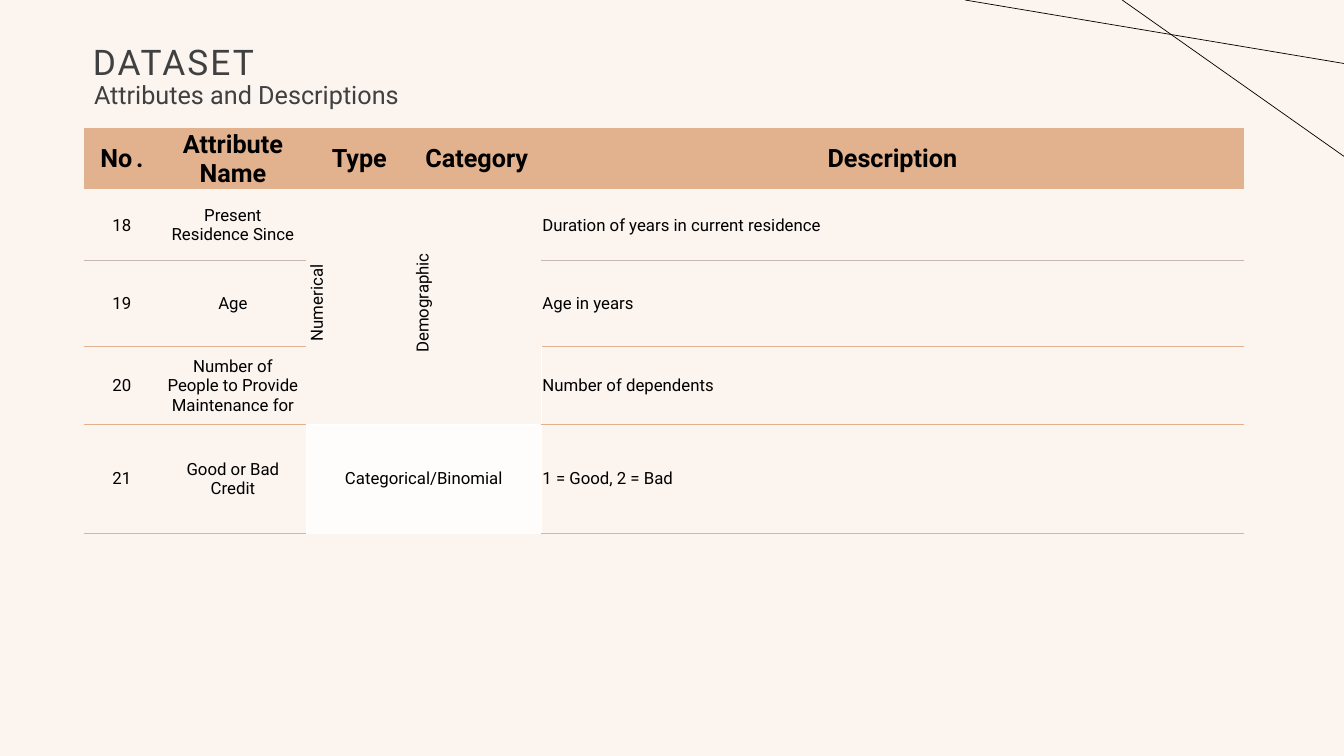
from dataclasses import dataclass

from lxml import etree
from pptx import Presentation
from pptx.dml.color import RGBColor
from pptx.enum.shapes import MSO_CONNECTOR
from pptx.enum.text import MSO_ANCHOR, MSO_AUTO_SIZE, PP_ALIGN
from pptx.oxml.ns import qn
from pptx.util import Cm, Pt

STRAIGHT = MSO_CONNECTOR.STRAIGHT
MIDDLE = MSO_ANCHOR.MIDDLE
TOP = MSO_ANCHOR.TOP
LEFT = PP_ALIGN.LEFT
CENTER = PP_ALIGN.CENTER
NO_FIT = MSO_AUTO_SIZE.NONE
PLAIN_GRID = "{2D5ABB26-0587-4C30-8999-92F81FD0307C}"


@dataclass(frozen=True)
class Theme:
    font: str = "Roboto"
    back: str = "FBF4EF"
    grey: str = "404040"
    ink: str = "000000"
    tan: str = "E2B18D"
    pale: str = "FEFDFC"
    white: str = "FFFFFF"
    rule: str = "C8B8B0"
    title: float = 25.2
    head: float = 18
    small: float = 10.5
    body: float = 12


THEME = Theme()

COLS = (1.9, 3.7, 2.67, 3.25, 17.7)
ROWS = (1.48, 1.78, 2.18, 1.96, 2.74)
GRID = (
    ("No .", "Attribute Name", "Type", "Category", "Description"),
    ("18", "Present Residence Since", "Numerical", "Demographic",
     "Duration of years in current residence"),
    ("19", "Age", "", "", "Age in years"),
    ("20", "Number of People to Provide Maintenance for", "", "",
     "Number of dependents"),
    ("21", "Good or Bad Credit", "Categorical/Binomial", "",
     "1 = Good, 2 = Bad"),
)
# Rule under each body row: colour and width in points
RULES = {1: (THEME.rule, 0.75), 2: (THEME.tan, 1),
         3: (THEME.tan, 1), 4: (THEME.tan, 0.75)}


def assign(item, values):
    for name, value in values.items():
        setattr(item, name, value)


def style(run, size, color, bold=False):
    assign(run.font, {"name": THEME.font, "size": Pt(size), "bold": bold})
    run.font.color.rgb = RGBColor.from_string(color)


def write(frame, text, size, color, bold=False, align=LEFT):
    """Fill the first paragraph; a space before a full stop is set small."""
    para = frame.paragraphs[0]
    para.alignment = align
    parts = ("No", " ", ".") if text == "No ." else (text,)
    for part in parts:
        run = para.add_run()
        run.text = part
        style(run, THEME.small if part == " " else size, color, bold)
    return para


def add_heading(slide, left, top):
    title = slide.shapes.title
    assign(title, {"left": left, "top": top,
                   "width": Cm(29.21), "height": Cm(1.19)})
    frame = title.text_frame
    assign(frame, {"margin_left": 0, "vertical_anchor": MIDDLE,
                   "word_wrap": True, "auto_size": NO_FIT})
    para = write(frame, "DATASET", THEME.title, THEME.grey)
    para.line_spacing = 0.9
    para.runs[0].font._element.set("spc", "150")

    box = slide.shapes.add_textbox(left - Cm(0.22), top + Cm(0.94),
                                   Cm(18.8), Cm(1.37))
    frame = box.text_frame
    assign(frame, {"word_wrap": True, "vertical_anchor": TOP})
    para = write(frame, "Attributes and Descriptions", THEME.head, THEME.grey)
    para.line_spacing = 0.9


def edge(cell, **sides):
    """Draw cell borders; sides are L, R, T, B with (colour, points)."""
    props = cell._tc.get_or_add_tcPr()
    for side in "LRTB":
        color, width = sides.get(side, (None, 0))
        line = etree.SubElement(props, qn("a:ln" + side), w=str(Pt(width)))
        if color:
            fill = etree.SubElement(line, qn("a:solidFill"))
            etree.SubElement(fill, qn("a:srgbClr"), val=color)
        else:
            etree.SubElement(line, qn("a:noFill"))


def paint(cell, color):
    if color:
        cell.fill.solid()
        cell.fill.fore_color.rgb = RGBColor.from_string(color)
    else:
        cell.fill.background()


def fill_cell(cell, row, col, text):
    side = Cm(0.18 if col in (1, 3) else 0.03)
    assign(cell, {"margin_left": side, "margin_right": side,
                  "margin_top": Cm(0.02), "margin_bottom": 0,
                  "vertical_anchor": MIDDLE})
    head, merged = row == 0, col in (2, 3)
    label = row == 4 and merged
    if label:
        edge(cell, **dict.fromkeys("LRTB", (THEME.white, 1)))
    elif head or merged:
        edge(cell)
    else:
        sides = {"B": RULES[row]}
        if row > 1:
            sides["T"] = RULES[row - 1]
        if (row, col) == (3, 4):
            sides["L"] = (THEME.white, 1)
        edge(cell, **sides)
    paint(cell, THEME.tan if head else THEME.pale if label else None)
    if text:
        align = CENTER if head or col < 4 else LEFT
        para = write(cell.text_frame, text, THEME.head if head else THEME.body,
                     THEME.ink, head, align)
        if head:
            para.space_after = Pt(6)
        if merged and row == 1:
            cell._tc.get_or_add_tcPr().set("vert", "vert270")
            para._p.get_or_add_pPr().set("marL", str(Cm(0.2)))
            para.space_after = Pt(12 if col == 2 else 0)


def add_grid(slide, left, top):
    frame = slide.shapes.add_table(len(ROWS), len(COLS), left, top,
                                   Cm(sum(COLS)), Cm(sum(ROWS)))
    table = frame.table
    assign(table, {"first_row": False, "horz_banding": False})
    table._tbl.tblPr.find(qn("a:tableStyleId")).text = PLAIN_GRID
    for col, width in zip(table.columns, COLS):
        col.width = Cm(width)
    for row, height in zip(table.rows, ROWS):
        row.height = Cm(height)
    for col in (2, 3):
        table.cell(1, col).merge(table.cell(3, col))
    table.cell(4, 2).merge(table.cell(4, 3))
    for row, texts in enumerate(GRID):
        for col, text in enumerate(texts):
            fill_cell(table.cell(row, col), row, col, text)


def add_rays(slide, right, top):
    """Two thin lines running from the top edge to the right edge."""
    for run, drop in ((5.59, 3.94), (9.55, 1.6)):
        line = slide.shapes.add_connector(STRAIGHT, right - Cm(run), top,
                                          right, top + Cm(drop))
        line.line.color.rgb = RGBColor.from_string(THEME.ink)
        line.line.width = Pt(0.5)
        etree.SubElement(line._element.spPr, qn("a:effectLst"))


def main():
    deck = Presentation()
    assign(deck, {"slide_width": Cm(33.87), "slide_height": Cm(19.05)})
    slide = deck.slides.add_slide(deck.slide_layouts[5])
    paint(slide.background, THEME.back)
    add_heading(slide, Cm(2.34), Cm(1.02))
    add_grid(slide, Cm(2.12), Cm(3.23))
    add_rays(slide, deck.slide_width, 0)
    deck.save("out.pptx")


if __name__ == "__main__":
    main()
